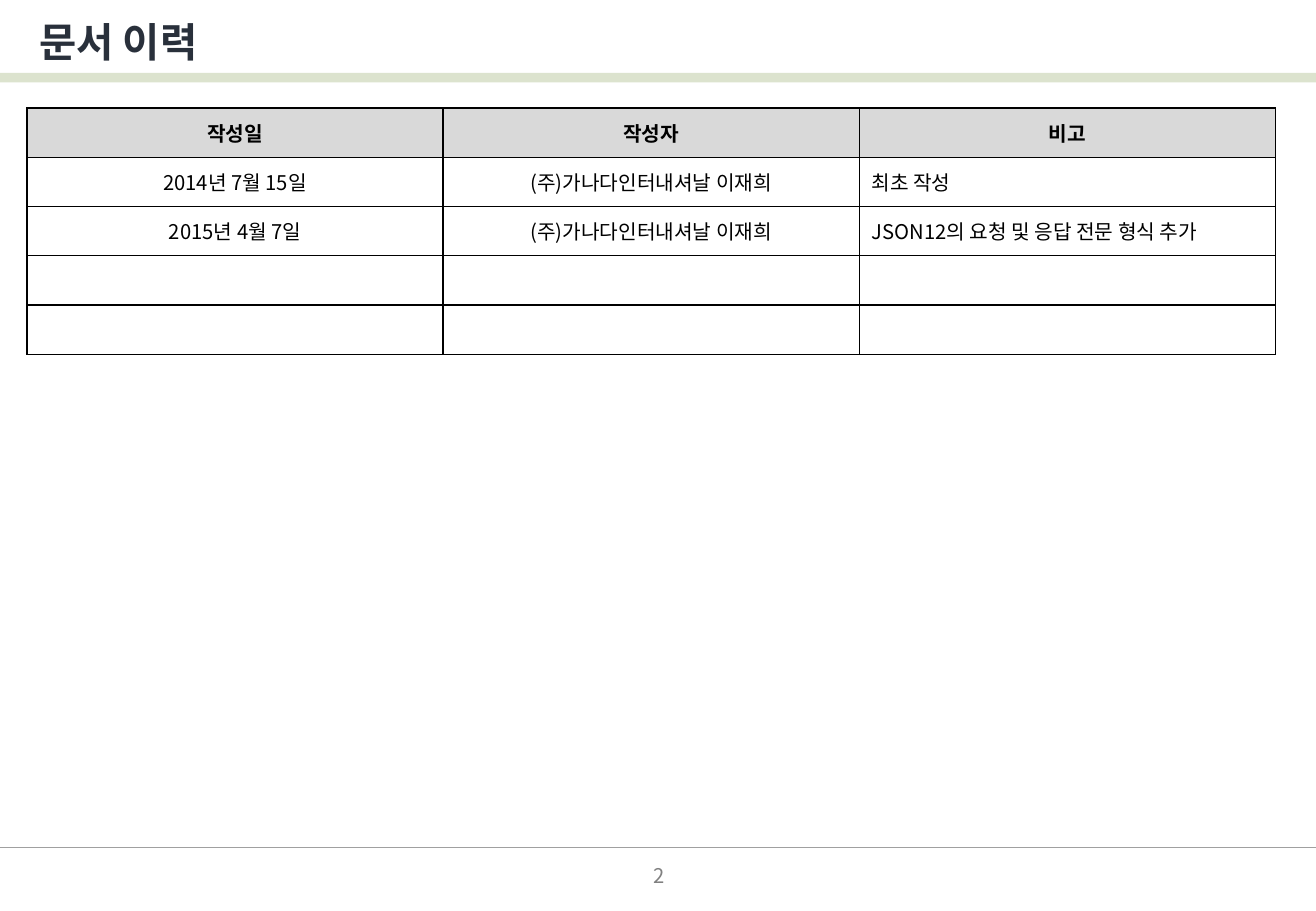
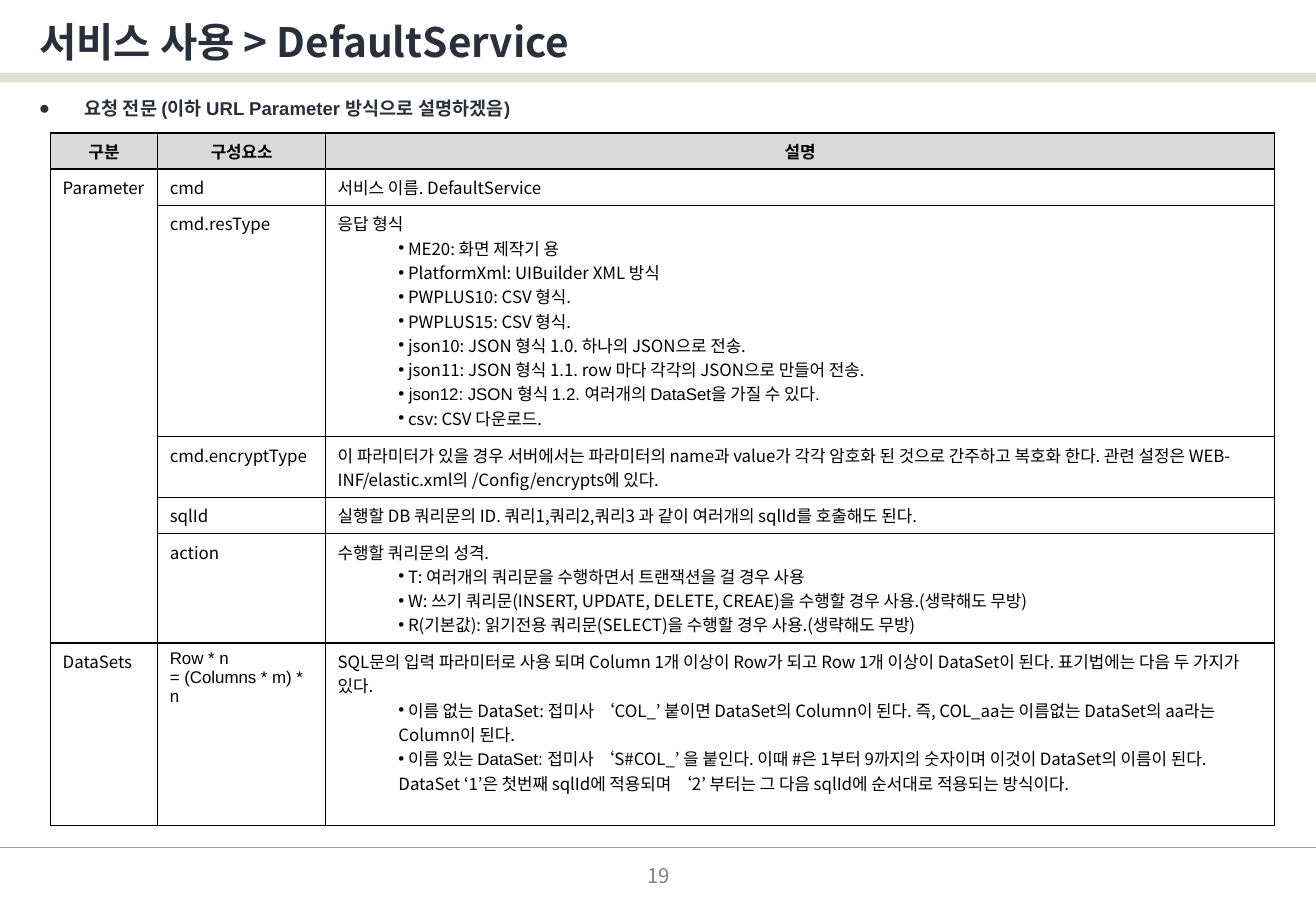
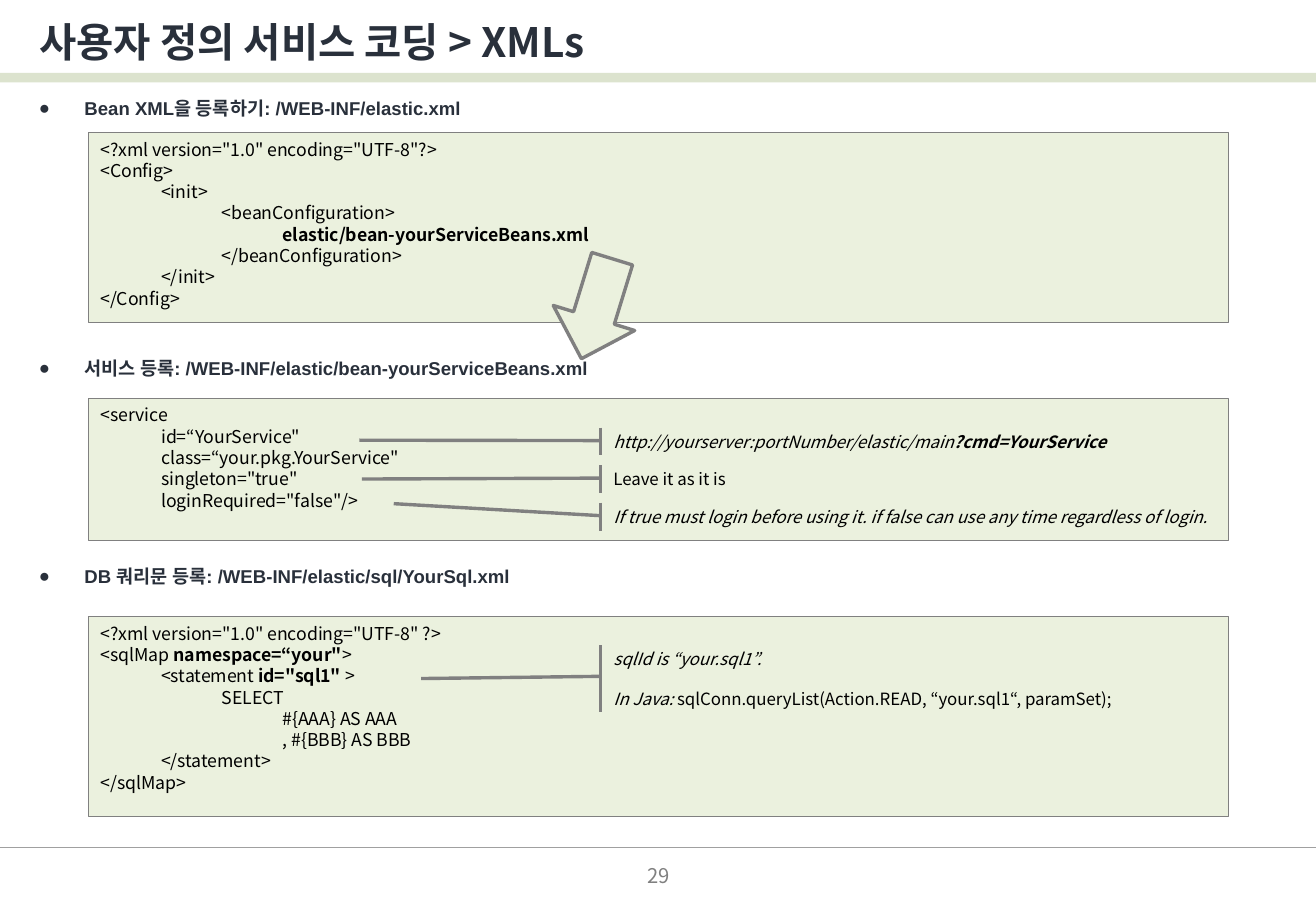
import dataclasses

import lxml.etree
import pptx
import pptx.dml.color
import pptx.enum.shapes
import pptx.enum.text
import pptx.oxml.ns
import pptx.util

Pt = pptx.util.Pt
RGBColor = pptx.dml.color.RGBColor
Shape = pptx.enum.shapes.MSO_SHAPE
Align = pptx.enum.text.PP_ALIGN
Anchor = pptx.enum.text.MSO_ANCHOR
qn = pptx.oxml.ns.qn

NOTO = "Noto Sans CJK KR"
ARIAL = "Arial"
BLACK = RGBColor(0x00, 0x00, 0x00)
INK = RGBColor(0x29, 0x30, 0x3B)
GREY = RGBColor(0x80, 0x80, 0x80)
RULE = RGBColor(0xA0, 0xA0, 0xA0)
GREEN = RGBColor(0x77, 0x93, 0x3C)
PALE = RGBColor(0xEB, 0xF1, 0xDE)
HEAD = RGBColor(0xD9, 0xD9, 0xD9)

WIDTH, HEIGHT = 780, 540
LEFT = 16
LEADING = 1.2


@dataclasses.dataclass(frozen=True)
class Run:
    text: str
    bold: bool = False
    slant: bool = False
    face: str = NOTO


def runs_of(line):
    parts = line if isinstance(line, tuple) else (line,)
    return [Run(part) if isinstance(part, str) else part for part in parts]


def write(par, line, size, color=BLACK, bold=False):
    for part in runs_of(line):
        run = par.add_run()
        run.text = part.text
        font = run.font
        font.name, font.size = part.face, Pt(size)
        font.bold, font.italic = bold or part.bold, part.slant
        font.color.rgb = color
        east = lxml.etree.SubElement(font._element, qn("a:ea"))
        east.set("typeface", NOTO)


def mark(par, sign, left, hang=0):
    props = par._p.get_or_add_pPr()
    props.set("marL", str(Pt(left)))
    props.set("indent", str(Pt(-hang)))
    lxml.etree.SubElement(props, qn("a:buFont")).set("typeface", ARIAL)
    lxml.etree.SubElement(props, qn("a:buChar")).set("char", sign)


def pars(frame, lines):
    for index, line in enumerate(lines):
        yield (frame.add_paragraph() if index else frame.paragraphs[0]), line


def text_box(slide, x, y, w, h):
    frame = slide.shapes.add_textbox(Pt(x), Pt(y), Pt(w), Pt(h)).text_frame
    frame.word_wrap = True
    return frame


def add_form(slide, kind, x, y, w, h, fill=None, line=None, weight=0.5):
    form = slide.shapes.add_shape(kind, Pt(x), Pt(y), Pt(w), Pt(h))
    form.shadow.inherit = False
    if fill is None:
        form.fill.background()
    else:
        form.fill.solid()
        form.fill.fore_color.rgb = fill
    if line is None:
        form.line.fill.background()
    else:
        form.line.color.rgb = line
        form.line.width = Pt(weight)
    return form


def fill_form(form, lines, size, anchor, gap=0):
    frame = form.text_frame
    frame.word_wrap = True
    frame.vertical_anchor = anchor
    for index, (par, line) in enumerate(pars(frame, lines)):
        par.alignment = Align.LEFT
        par.line_spacing = Pt(size * LEADING)
        if index:
            par.space_before = Pt(gap)
        write(par, line, size)


def add_page(deck, title, number):
    slide = deck.slides.add_slide(deck.slide_layouts[5])
    band = add_form(slide, Shape.RECTANGLE, 0, 43.2, WIDTH, 5.6, GREEN)
    tint = band.fill._xPr.find(".//" + qn("a:srgbClr"))
    lxml.etree.SubElement(tint, qn("a:alpha")).set("val", "25000")

    rule = slide.shapes.add_connector(
        pptx.enum.shapes.MSO_CONNECTOR.STRAIGHT, 0, Pt(502.5), Pt(WIDTH), Pt(502.5))
    rule.line.color.rgb = RULE
    rule.line.width = Pt(0.75)
    lxml.etree.SubElement(rule.element.spPr, qn("a:effectLst"))

    name = slide.shapes.title
    name.left, name.top = Pt(LEFT), Pt(6)
    name.width, name.height = Pt(WIDTH - LEFT), Pt(37.5)
    frame = name.text_frame
    frame.auto_size = pptx.enum.text.MSO_AUTO_SIZE.NONE
    frame.vertical_anchor = Anchor.MIDDLE
    frame.paragraphs[0].alignment = Align.LEFT
    write(frame.paragraphs[0], title, 24, INK, True)

    foot = text_box(slide, 299.5, 508.5, 182, 21)
    foot.vertical_anchor = Anchor.MIDDLE
    foot.paragraphs[0].alignment = Align.CENTER
    write(foot.paragraphs[0], str(number), 12, GREY)
    return slide


def add_topic(slide, y, text):
    frame = text_box(slide, LEFT, y, WIDTH - LEFT, 20)
    frame.margin_top = 0
    par = frame.paragraphs[0]
    mark(par, "●", 27, 27)
    write(par, Run(text, face=ARIAL), 11, INK, True)


def add_edges(cell):
    props = cell._tc.get_or_add_tcPr()
    for side in ("a:lnL", "a:lnR", "a:lnT", "a:lnB"):
        edge = lxml.etree.SubElement(props, qn(side))
        edge.set("w", str(Pt(1)))
        solid = lxml.etree.SubElement(edge, qn("a:solidFill"))
        lxml.etree.SubElement(solid, qn("a:srgbClr")).set("val", str(BLACK))


def fill_cell(cell, lines, size, align, bold):
    for par, line in pars(cell.text_frame, lines):
        par.alignment = align
        first, *rest = runs_of(line)
        if first.text.startswith("•"):
            par.level = 1
            mark(par, "•", 36)
            first = dataclasses.replace(first, text=first.text[1:])
        write(par, (first, *rest), size, bold=bold)


def add_grid(slide, x, y, cols, rows, data, size, aligns, anchor):
    grid = slide.shapes.add_table(
        len(rows), len(cols), Pt(x), Pt(y), Pt(sum(cols)), Pt(sum(rows))).table
    grid.first_row = grid.horz_banding = False
    for col, width in zip(grid.columns, cols):
        col.width = Pt(width)
    for row, height in zip(grid.rows, rows):
        row.height = Pt(height)
    for r, record in enumerate(data):
        for c, value in enumerate(record):
            cell = grid.cell(r, c)
            add_edges(cell)
            cell.vertical_anchor = anchor
            if r == 0:
                cell.fill.solid()
                cell.fill.fore_color.rgb = HEAD
            else:
                cell.fill.background()
            if value:
                lines = value if isinstance(value, list) else [value]
                fill_cell(cell, lines, size, aligns[c] if r else Align.CENTER, r == 0)
    return grid


def add_code(slide, y, h, lines):
    form = add_form(slide, Shape.RECTANGLE, 52.5, y, 675.5, h, PALE, GREY)
    fill_form(form, lines, 10.5, Anchor.TOP)


def add_note(slide, y, h, end_y, end_x, lines):
    form = add_form(slide, Shape.LINE_CALLOUT_1_ACCENT_BAR,
                    356.5, y, 376.5, h, line=GREY, weight=2)
    for index, value in enumerate((0.466, -0.002, end_y, end_x)):
        form.adjustments[index] = value
    fill_form(form, lines, 10, Anchor.MIDDLE, 12)


def add_log(deck):
    slide = add_page(deck, "문서 이력", 2)
    author = "(주)가나다인터내셔날 이재희"
    data = [
        ("작성일", "작성자", "비고"),
        ("2014년 7월 15일", author, "최초 작성"),
        ("2015년 4월 7일", author, "JSON12의 요청 및 응답 전문 형식 추가"),
        ("", "", ""),
        ("", "", ""),
    ]
    add_grid(slide, LEFT, 64, [246.7] * 3, [29.2] * 5, data, 12,
             (Align.CENTER, Align.CENTER, Align.LEFT), Anchor.MIDDLE)


def add_service(deck):
    slide = add_page(deck, "서비스 사용 > DefaultService", 19)
    add_topic(slide, 57.5, "요청 전문 (이하 URL Parameter 방식으로 설명하겠음)")
    data = [
        ("구분", "구성요소", "설명"),
        ("Parameter", "cmd", "서비스 이름. DefaultService"),
        ("", "cmd.resType", [
            "응답 형식",
            "• ME20: 화면 제작기 용",
            "• PlatformXml: UIBuilder XML 방식",
            "• PWPLUS10: CSV 형식.",
            "• PWPLUS15: CSV 형식.",
            "• json10: JSON 형식 1.0. 하나의 JSON으로 전송.",
            "• json11: JSON 형식 1.1. row 마다 각각의 JSON으로 만들어 전송.",
            Run("• json12: JSON 형식 1.2. 여러개의 DataSet을 가질 수 있다.", face=ARIAL),
            "• csv: CSV 다운로드.",
        ]),
        ("", "cmd.encryptType",
         "이 파라미터가 있을 경우 서버에서는 파라미터의 name과 value가 각각 암호화 된 것으로 "
         "간주하고 복호화 한다. 관련 설정은 WEB-INF/elastic.xml의 /Config/encrypts에 있다."),
        ("", "sqlId",
         "실행할 DB 쿼리문의 ID. 쿼리1,쿼리2,쿼리3 과 같이 여러개의 sqlId를 호출해도 된다."),
        ("", "action", [
            "수행할 쿼리문의 성격.",
            "• T: 여러개의 쿼리문을 수행하면서 트랜잭션을 걸 경우 사용",
            "• W: 쓰기 쿼리문(INSERT, UPDATE, DELETE, CREAE)을 수행할 경우 사용.(생략해도 무방)",
            "• R(기본값): 읽기전용 쿼리문(SELECT)을 수행할 경우 사용.(생략해도 무방)",
        ]),
        ("DataSets",
         [Run("Row * n", face=ARIAL), Run("= (Columns * m) * n", face=ARIAL)],
         [
             "SQL문의 입력 파라미터로 사용 되며 Column 1개 이상이 Row가 되고 Row 1개 이상이 "
             "DataSet이 된다. 표기법에는 다음 두 가지가 있다.",
             "• 이름 없는 DataSet: 접미사 ‘COL_’ 붙이면 DataSet의 Column이 된다. "
             "즉, COL_aa는 이름없는 DataSet의 aa라는 Column이 된다.",
             (Run("• 이름 있는 DataSet: ", face=ARIAL),
              "접미사 ‘S#COL_’ 을 붙인다. 이때 #은 1부터 9까지의 숫자이며 이것이 DataSet의 "
              "이름이 된다. DataSet ‘1’은 첫번째 sqlId에 적용되며 ‘2’ 부터는 그 다음 sqlId에 "
              "순서대로 적용되는 방식이다."),
         ]),
    ]
    grid = add_grid(slide, 30, 78.8, [63.5, 99.5, 562.5],
                    [21.5, 21.5, 137, 36, 21.5, 65, 108],
                    data, 10, [Align.LEFT] * 3, Anchor.TOP)
    grid.cell(1, 0).merge(grid.cell(5, 0))


def add_xmls(deck):
    slide = add_page(deck, "사용자 정의 서비스 코딩 > XMLs", 29)
    add_topic(slide, 57.5, "Bean XML을 등록하기: /WEB-INF/elastic.xml")
    add_topic(slide, 211.5, "서비스 등록: /WEB-INF/elastic/bean-yourServiceBeans.xml")
    add_topic(slide, 335, "DB 쿼리문 등록: /WEB-INF/elastic/sql/YourSql.xml")
    add_code(slide, 78.5, 112.5, [
        '<?xml version="1.0" encoding="UTF-8"?>',
        "<Config>",
        "\t<init>",
        "\t\t<beanConfiguration>",
        ("\t\t\t", Run("elastic/bean-yourServiceBeans.xml", bold=True)),
        "\t\t</beanConfiguration>",
        "\t</init>",
        "</Config>",
    ])
    add_code(slide, 236, 84.5, [
        "<service",
        '\tid=“YourService"',
        '\tclass=“your.pkg.YourService"',
        '\tsingleton="true"',
        '\tloginRequired="false"/>',
    ])
    add_code(slide, 365.5, 118.5, [
        '<?xml version="1.0" encoding="UTF-8" ?>',
        ("<sqlMap ", Run('namespace=“your"', bold=True), ">"),
        ("\t<statement ", Run('id="sql1"', bold=True), " >"),
        "\t\tSELECT",
        "\t\t\t#{AAA} AS AAA",
        "\t\t\t, #{BBB} AS BBB",
        "\t</statement>",
        "</sqlMap>",
    ])
    arrow = add_form(slide, Shape.DOWN_ARROW, 328.5, 152, 50.5, 62, PALE, GREY, 2)
    arrow.rotation = 17.1
    add_note(slide, 253.5, 16.5, 0.453, -0.381, [
        (Run("http://yourserver:portNumber/elastic/main", slant=True),
         Run("?cmd=YourService", bold=True, slant=True)),
    ])
    add_note(slide, 275.75, 16.5, 0.499, -0.377, ["Leave it as it is"])
    add_note(slide, 298, 16.5, 0.035, -0.327, [
        Run("If true must login before using it. "
            "if false can use any time regardless of login.", slant=True),
    ])
    add_note(slide, 382.5, 39.5, 0.499, -0.284, [
        Run("sqlId is “your.sql1”.", slant=True),
        (Run("In Java: ", slant=True),
         "sqlConn.queryList(Action.READ, “your.sql1“, paramSet);"),
    ])


def main():
    deck = pptx.Presentation()
    deck.slide_width, deck.slide_height = Pt(WIDTH), Pt(HEIGHT)
    add_log(deck)
    add_service(deck)
    add_xmls(deck)
    deck.save("out.pptx")


if __name__ == "__main__":
    main()
